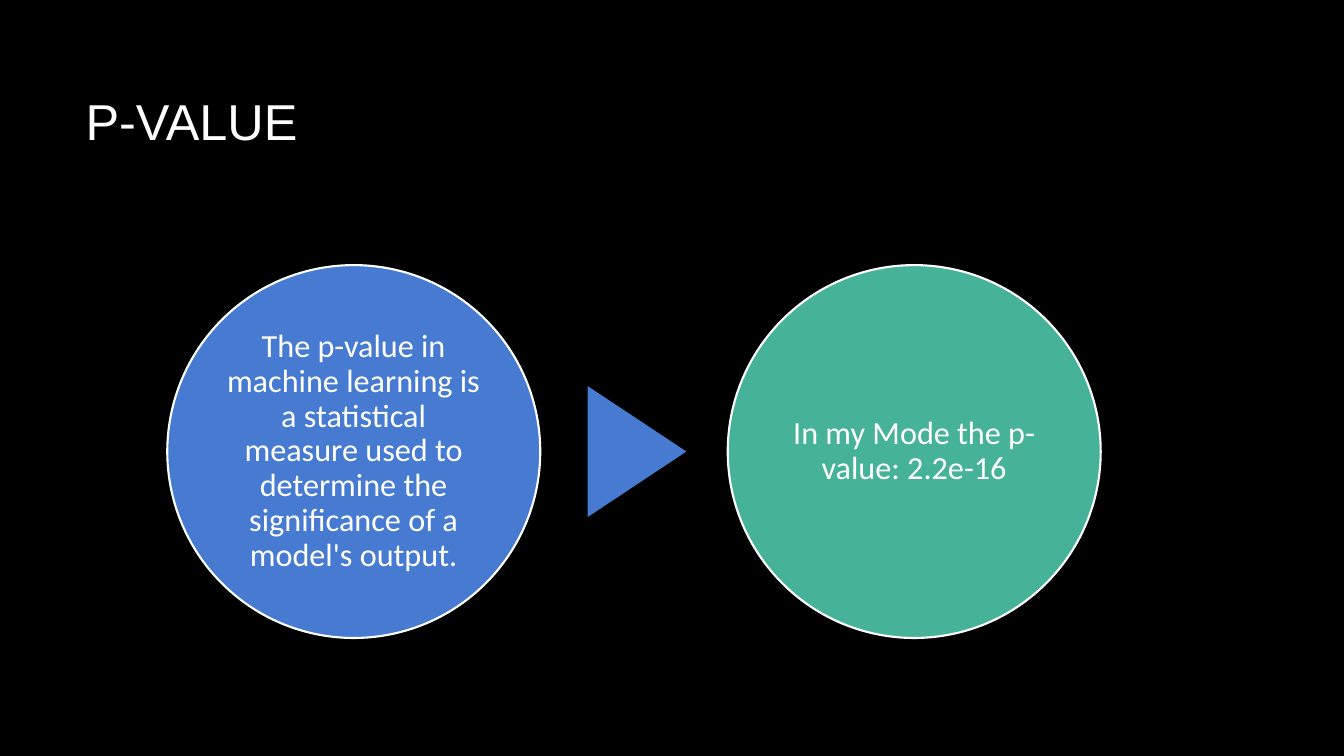
from pptx import Presentation, util as u
from pptx.dml.color import RGBColor
from pptx.enum import shapes, text

hues = {"back": "000000", "text": "FFFFFF", "blue": "477BD1", "green": "46B298"}
tint = {name: RGBColor.from_string(code) for name, code in hues.items()}

deck = Presentation()
deck.slide_width, deck.slide_height = u.Inches(13.33), u.Inches(7.5)
col, row = deck.slide_width / 100, deck.slide_height / 100
slide = deck.slides.add_slide(deck.slide_layouts[6])
slide.background.fill.solid()
slide.background.fill.fore_color.rgb = tint["back"]


def write(frame, words, face, size):
    frame.text = words
    frame.word_wrap = True
    frame.vertical_anchor = text.MSO_ANCHOR.MIDDLE
    font = frame.paragraphs[0].runs[0].font
    font.name, font.size = face, u.Pt(size)
    font.color.rgb = tint["text"]


def draw(kind, left, top, width, height, fill):
    shape = slide.shapes.add_shape(kind, int(left), int(top), int(width), int(height))
    shape.shadow.inherit = False
    shape.fill.solid()
    shape.fill.fore_color.rgb = tint[fill]
    return shape


title = slide.shapes.add_textbox(int(5.63 * col), int(8.93 * row), int(83.12 * col), int(21.2 * row))
write(title.text_frame, "P-VALUE", "Arial", 36)
title.text_frame.margin_bottom = int(8 * row)

size = 27.75 * col
first, pitch = 12.45 * col, 41.7 * col
mid = 59.73 * row
facts = [
    ("blue", "The p-value in machine learning is a statistical measure used to determine the significance of a model's output."),
    ("green", "In my Mode the p-value: 2.2e-16"),
]

for i, (fill, words) in enumerate(facts):
    disc = draw(shapes.MSO_SHAPE.OVAL, first + i * pitch, mid - size / 2, size, size, fill)
    disc.line.color.rgb = tint["text"]
    disc.line.width = u.Pt(1.5)
    frame = disc.text_frame
    write(frame, words, "Calibri", 23)
    frame.margin_left = frame.margin_right = u.Inches(0.03)
    frame.margin_top = frame.margin_bottom = u.Inches(0.03)
    frame.paragraphs[0].alignment = text.PP_ALIGN.CENTER
    frame.paragraphs[0].line_spacing = 0.9

base, rise = 9.75 * col, 7.35 * col
arrow = draw(shapes.MSO_SHAPE.ISOSCELES_TRIANGLE, 47.4 * col - base / 2, mid - rise / 2, base, rise, "blue")
arrow.rotation = 90
arrow.line.fill.background()

deck.save("out.pptx")
